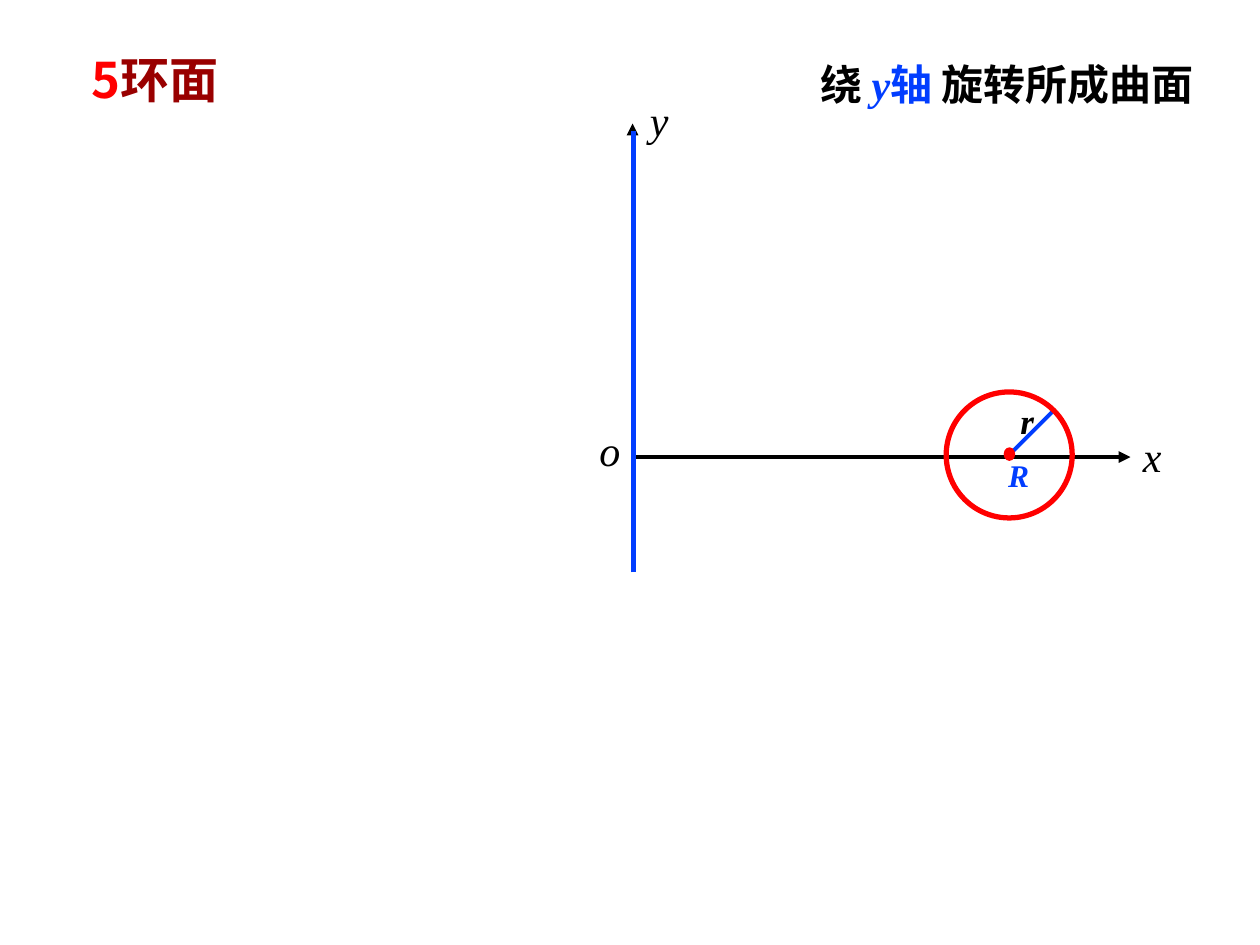
from pptx import Presentation
from pptx.dml.color import RGBColor
from pptx.enum import shapes, text
from pptx.oxml import ns
from pptx.util import Pt
from lxml import etree

HUE = {"ink": "000000", "red": "FF0000", "dark": "990000", "blue": "013DFF"}
SERIF, SANS = "Times New Roman", "Noto Sans CJK SC"


def rgb(name):
    return RGBColor.from_string(HUE[name])


def add_run(par, words, size=24, hue="ink", font=SERIF, bold=False, slant=False):
    run = par.add_run()
    run.text = words
    face = run.font
    face.size, face.name = Pt(size), font
    face.bold, face.italic = bold, slant
    face.color.rgb = rgb(hue)
    # East Asian letters take their own font
    east = etree.SubElement(run._r.get_or_add_rPr(), ns.qn("a:ea"))
    east.set("typeface", SANS)


def add_box(slide, left, top, wide, high):
    box = slide.shapes.add_textbox(Pt(left), Pt(top), Pt(wide), Pt(high))
    box.text_frame.word_wrap = True
    return box.text_frame


def add_label(slide, words, left, top, wide, high, **form):
    frame = add_box(slide, left, top, wide, high)
    add_run(frame.paragraphs[0], words, slant=True, **form)


def add_line(slide, start, end, hue="ink", width=2.25, arrow=False):
    line = slide.shapes.add_connector(
        shapes.MSO_CONNECTOR.STRAIGHT, *map(Pt, start + end))
    line.line.color.rgb = rgb(hue)
    line.line.width = Pt(width)
    if arrow:
        tip = etree.SubElement(line.line._get_or_add_ln(), ns.qn("a:tailEnd"))
        tip.set("type", "triangle")
    etree.SubElement(line._element.spPr, ns.qn("a:effectLst"))


def add_oval(slide, left, top, wide, high, width, solid=False):
    oval = slide.shapes.add_shape(
        shapes.MSO_SHAPE.OVAL, Pt(left), Pt(top), Pt(wide), Pt(high))
    oval.shadow.inherit = False
    oval.line.color.rgb = rgb("red")
    oval.line.width = Pt(width)
    if solid:
        oval.fill.solid()
        oval.fill.fore_color.rgb = rgb("red")
    else:
        oval.fill.background()


def add_title(slide):
    frame = add_box(slide, 31, 26, 115, 38)
    frame.vertical_anchor = text.MSO_ANCHOR.MIDDLE
    par = frame.paragraphs[0]
    par.alignment = text.PP_ALIGN.CENTER
    add_run(par, "5", size=28, hue="red", font=SANS, bold=True)
    add_run(par, "环面", size=28, hue="dark", bold=True)


def add_note(slide):
    par = add_box(slide, 461.5, 30.2, 258.5, 36).paragraphs[0]
    add_run(par, "绕 ", bold=True)
    add_run(par, "y", hue="blue", bold=True, slant=True)
    add_run(par, "轴", hue="blue", bold=True)
    add_run(par, " 旋转所成曲面", bold=True)


def main():
    deck = Presentation()
    deck.slide_width, deck.slide_height = Pt(720), Pt(540)
    slide = deck.slides.add_slide(deck.slide_layouts[6])

    add_title(slide)

    # Axes
    add_line(slide, (361.5, 327), (361.5, 70.6), arrow=True)
    add_label(slide, "y", 364.3, 50.4, 40, 36)
    add_label(slide, "x", 646, 242.6, 31, 36)
    add_line(slide, (361, 261.2), (646, 261.2), arrow=True)
    add_label(slide, "o", 335.5, 239, 19, 36)

    # Circle with its radius and centre
    add_line(slide, (576.7, 260), (602, 234.7), hue="blue")
    add_oval(slide, 573.9, 256, 5.8, 7, 0.75, solid=True)
    add_oval(slide, 540.7, 224, 72, 72, 3)
    add_label(slide, "r", 576, 224.6, 22, 31, size=20, bold=True)
    add_label(slide, "R", 569, 257, 30, 29, size=18, hue="blue", bold=True)

    # Axis of rotation
    add_line(slide, (362, 327), (362, 75), hue="blue", width=3)
    add_note(slide)

    deck.save("out.pptx")


if __name__ == "__main__":
    main()
